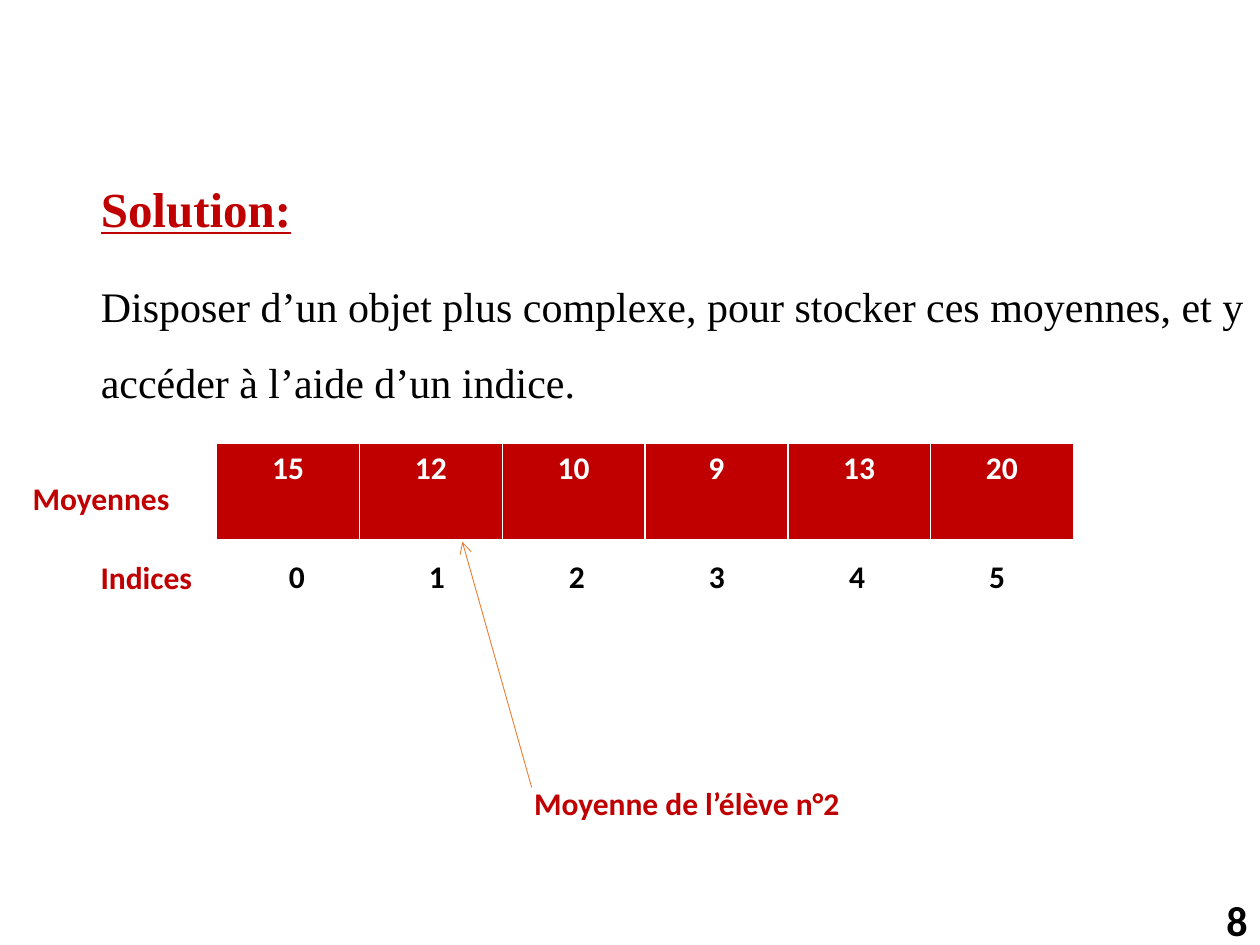
from dataclasses import dataclass

from lxml.etree import SubElement
from pptx import Presentation
from pptx.dml.color import RGBColor
from pptx.enum.shapes import MSO_CONNECTOR
from pptx.enum.text import MSO_ANCHOR, MSO_AUTO_SIZE, PP_ALIGN
from pptx.oxml.ns import qn
from pptx.util import Inches, Pt


@dataclass(frozen=True)
class Theme:
    red: RGBColor = RGBColor(0xC0, 0x00, 0x00)
    black: RGBColor = RGBColor(0x00, 0x00, 0x00)
    white: RGBColor = RGBColor(0xFF, 0xFF, 0xFF)
    orange: RGBColor = RGBColor(0xED, 0x7D, 0x31)
    serif: str = "Times New Roman"
    sans: str = "Calibri"
    heading: int = 28
    body: int = 24
    label: int = 18


THEME = Theme()


def style(para, name, size, color, bold=True):
    para.font.name = name
    para.font.size = Pt(size)
    para.font.bold = bold
    para.font.color.rgb = color


def place(shape, left, top, width, height):
    shape.left, shape.top = Inches(left), Inches(top)
    shape.width, shape.height = Inches(width), Inches(height)


def indent(para, left, first):
    properties = para._p.get_or_add_pPr()
    properties.set("marL", str(Inches(left)))
    properties.set("indent", str(Inches(first)))
    SubElement(properties, qn("a:buNone"))


def fill_body(page):
    body = page.placeholders[1]
    place(body, 0.7, 1.42, 9.53, 5.27)
    frame = body.text_frame
    frame.auto_size = MSO_AUTO_SIZE.NONE

    heading = frame.paragraphs[0]
    heading.text = "Solution:"
    indent(heading, 0.25, -0.25)
    heading.line_spacing = 0.9
    heading.space_before = Pt(0)
    style(heading, THEME.serif, THEME.heading, THEME.red)
    heading.font.underline = True

    para = frame.add_paragraph()
    para.text = (
        "Disposer d’un objet plus complexe, pour stocker ces moyennes, "
        "et y accéder à l’aide d’un indice."
    )
    indent(para, 0, 0)
    para.line_spacing = 1.5
    para.space_before = Pt(10)
    style(para, THEME.serif, THEME.body, THEME.black, bold=False)


def add_label(page, text, left, top, width, color=THEME.red, size=THEME.label):
    box = page.shapes.add_textbox(
        Inches(left), Inches(top), Inches(width), Inches(0.4)
    )
    box.text_frame.word_wrap = True
    para = box.text_frame.paragraphs[0]
    para.text = text
    style(para, THEME.sans, size, color)
    return box


def add_page_number(page, number):
    box = add_label(page, number, 7.75, 7.1, 2.25, THEME.black, THEME.body)
    box.text_frame.vertical_anchor = MSO_ANCHOR.MIDDLE
    box.text_frame.paragraphs[0].alignment = PP_ALIGN.RIGHT


def add_borders(cell):
    properties = cell._tc.get_or_add_tcPr()
    for side, width in (("L", 1), ("R", 1), ("T", 1), ("B", 3)):
        line = SubElement(properties, qn(f"a:ln{side}"), w=str(Pt(width)))
        fill = SubElement(line, qn("a:solidFill"))
        SubElement(fill, qn("a:srgbClr"), val=str(THEME.white))


def add_row_table(page, values, left, top, width, height, color, fill=None):
    table = page.shapes.add_table(
        1, len(values), Inches(left), Inches(top), Inches(width), Inches(height)
    ).table
    table.first_row = table.horz_banding = False
    for cell, value in zip(table.iter_cells(), values):
        add_borders(cell)
        if fill is None:
            cell.fill.background()
        else:
            cell.fill.solid()
            cell.fill.fore_color.rgb = fill
        para = cell.text_frame.paragraphs[0]
        para.text = str(value)
        para.alignment = PP_ALIGN.CENTER
        style(para, THEME.sans, THEME.label, color)


def add_arrow(page, tip, tail):
    arrow = page.shapes.add_connector(
        MSO_CONNECTOR.STRAIGHT, *(Inches(value) for value in (*tip, *tail))
    )
    arrow.line.color.rgb = THEME.orange
    arrow.line.width = Pt(0.5)
    SubElement(arrow.line._get_or_add_ln(), qn("a:headEnd"), type="arrow")
    SubElement(arrow._element.spPr, qn("a:effectLst"))


def main():
    deck = Presentation()
    deck.slide_width, deck.slide_height = Inches(10), Inches(7.5)
    page = deck.slides.add_slide(deck.slide_layouts.get_by_name("Title and Content"))
    title = page.shapes.title._element
    title.getparent().remove(title)

    add_page_number(page, "8")
    fill_body(page)
    averages = (15, 12, 10, 9, 13, 20)
    add_row_table(page, averages, 1.72, 3.52, 6.8, 0.78, THEME.white, THEME.red)
    add_row_table(page, range(len(averages)), 1.8, 4.38, 6.67, 0.41, THEME.black)
    add_label(page, "Moyennes", 0.16, 3.75, 1.41)
    add_label(page, "Indices", 0.7, 4.38, 1.09)
    add_arrow(page, (3.67, 4.3), (4.22, 6.25))
    add_label(page, "Moyenne de l’élève n°2", 4.14, 6.17, 3.42)
    deck.save("out.pptx")


if __name__ == "__main__":
    main()
